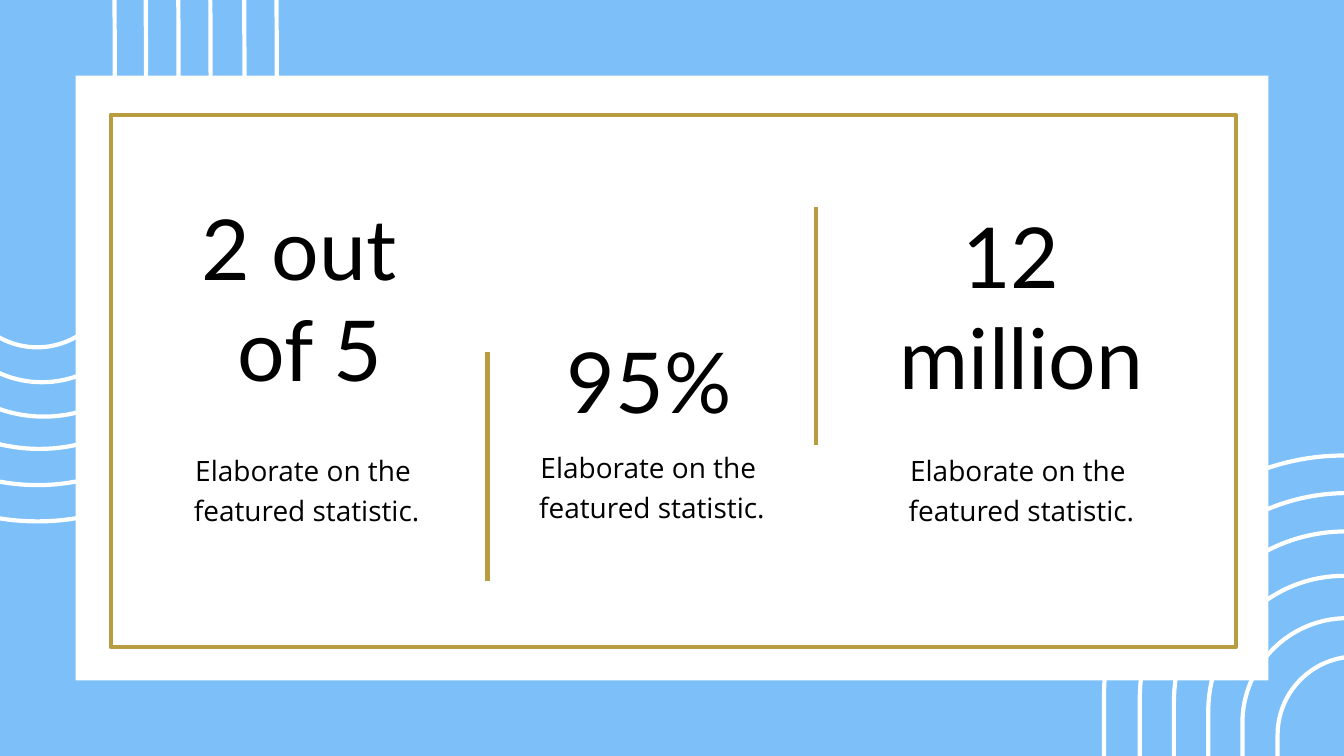
from dataclasses import dataclass

from lxml.etree import SubElement
from pptx import Presentation
from pptx.dml.color import RGBColor
from pptx.enum.shapes import MSO_CONNECTOR as Connector, MSO_SHAPE as Shape
from pptx.enum.text import MSO_ANCHOR as Anchor, PP_ALIGN as Align
from pptx.oxml.ns import qn
from pptx.util import Cm, Pt


@dataclass(frozen=True)
class Theme:
    """Colours, fonts and sizes shared by the whole slide."""
    sky: RGBColor = RGBColor.from_string("7DBFF8")
    white: RGBColor = RGBColor.from_string("FFFFFF")
    gold: RGBColor = RGBColor.from_string("B89D40")
    ink: RGBColor = RGBColor.from_string("000000")
    figure_font: str = "Lato"
    caption_font: str = "Open Sans"
    figure_size: Pt = Pt(90)
    caption_size: Pt = Pt(30)
    stroke: Pt = Pt(4.5)


THEME = Theme()
ROUNDNESS = 0.55
ARCH_SIZES = [(18.14, 29.49), (15.7, 26.75), (13, 23.52),
              (10.24, 20.35), (7.92, 17.73), (5.92, 15.24)]
TOP_LEFT_ARCHES = [(-7.67, -9.78), (-6.45, -8.41), (-5.03, -6.55),
                   (-3.48, -4.6), (-2.39, -3.28), (-1.57, -2.11)]
BOTTOM_RIGHT_ARCHES = [(41.73, 17.22), (43.08, 18.64), (44.37, 20.09),
                       (45.67, 21.77), (46.96, 23.37), (48.29, 24.82)]
FIGURES = [
    (["2 out ", "of 5"], (7.42, 5.54, 8.59, 11.38), 1.0),
    (["95%"], (20.24, 13.9, 8.59, 2.34), 0.5),
    (["12 ", "million"], (32.69, 7.82, 11.86, 7.47), 1.0),
]
CAPTION = ["Elaborate on the ", "featured statistic."]
CAPTION_CORNERS = [(6.91, 16.89), (19.96, 16.76), (33.93, 16.89)]
CAPTION_SIZE = (9.37, 2.82)
DIVIDERS = [(18.43, 13.31, 21.97), (30.84, 7.82, 16.84)]


def draw_stroke(line, color):
    """Give a line the common stroke width and a colour."""
    line.color.rgb = color
    line.width = THEME.stroke


def bend(outline, segments):
    """Merge three straight segments into one cubic curve."""
    curve = outline.makeelement(qn("a:cubicBezTo"))
    segments[0].addprevious(curve)
    for segment in segments:
        curve.append(segment[0])
        outline.remove(segment)


def add_arch(slide, corner, size, rotation):
    """Draw a straight-sided arch that is rounded at its lower end."""
    (left, top), (width, height) = corner, size
    radius, right, bottom = width / 2, left + width, top + height
    middle, spring, pull = left + radius, bottom - radius, radius * ROUNDNESS
    points = [(right, top), (right, spring),
              (right, spring + pull), (middle + pull, bottom), (middle, bottom),
              (middle - pull, bottom), (left, spring + pull), (left, spring)]
    builder = slide.shapes.build_freeform(Cm(left), Cm(top))
    builder.add_line_segments([(Cm(x), Cm(y)) for x, y in points])
    arch = builder.convert_to_shape()
    outline = next(arch._element.iter(qn("a:path")))
    segments = outline.findall(qn("a:lnTo"))
    bend(outline, segments[2:5])
    bend(outline, segments[5:8])
    arch.rotation = rotation
    arch.shadow.inherit = False
    arch.fill.background()
    draw_stroke(arch.line, THEME.white)


def add_arches(slide, corners, rotation):
    """Draw one nest of arches, from the outermost inwards."""
    for corner, size in zip(corners, ARCH_SIZES):
        add_arch(slide, corner, size, rotation)


def add_panel(slide):
    """Draw the white panel and the gold frame inside it."""
    panel, frame = (
        slide.shapes.add_shape(Shape.RECTANGLE, *map(Cm, box))
        for box in [(2.86, 2.86, 45.08, 22.86), (4.19, 4.34, 42.53, 20.12)])
    panel.fill.solid()
    panel.fill.fore_color.rgb = THEME.white
    panel.line.fill.background()
    frame.fill.background()
    draw_stroke(frame.line, THEME.gold)
    for layer in (panel, frame):
        layer.shadow.inherit = False


def add_text(slide, lines, box, font, size, spacing, anchor):
    """Place centred lines of text, one paragraph each."""
    frame = slide.shapes.add_textbox(*map(Cm, box)).text_frame
    frame.word_wrap = True
    frame.vertical_anchor = anchor
    frame.margin_left = frame.margin_right = 0
    frame.margin_top = frame.margin_bottom = 0
    for index, line in enumerate(lines):
        paragraph = frame.add_paragraph() if index else frame.paragraphs[0]
        paragraph.text = line
        paragraph.alignment = Align.CENTER
        paragraph.line_spacing = spacing
        paragraph.font.name = font
        paragraph.font.size = size
        paragraph.font.color.rgb = THEME.ink


def add_divider(slide, x, top, bottom):
    """Draw a vertical gold rule between two statistics."""
    divider = slide.shapes.add_connector(
        Connector.STRAIGHT, Cm(x), Cm(top), Cm(x), Cm(bottom))
    draw_stroke(divider.line, THEME.gold)
    SubElement(divider._element.spPr, qn("a:effectLst"))


def main():
    """Build the statistics slide and save it."""
    deck = Presentation()
    deck.slide_width, deck.slide_height = Cm(50.8), Cm(28.58)
    slide = deck.slides.add_slide(deck.slide_layouts[6])
    slide.background.fill.solid()
    slide.background.fill.fore_color.rgb = THEME.sky

    add_arches(slide, TOP_LEFT_ARCHES, 359.8)
    add_arches(slide, BOTTOM_RIGHT_ARCHES, 180)
    add_panel(slide)
    for lines, box, spacing in FIGURES:
        add_text(slide, lines, box, THEME.figure_font, THEME.figure_size,
                 spacing, Anchor.MIDDLE)
    for corner in CAPTION_CORNERS:
        add_text(slide, CAPTION, corner + CAPTION_SIZE, THEME.caption_font,
                 THEME.caption_size, 1.2, Anchor.TOP)
    for divider in DIVIDERS:
        add_divider(slide, *divider)
    deck.save("out.pptx")


if __name__ == "__main__":
    main()
